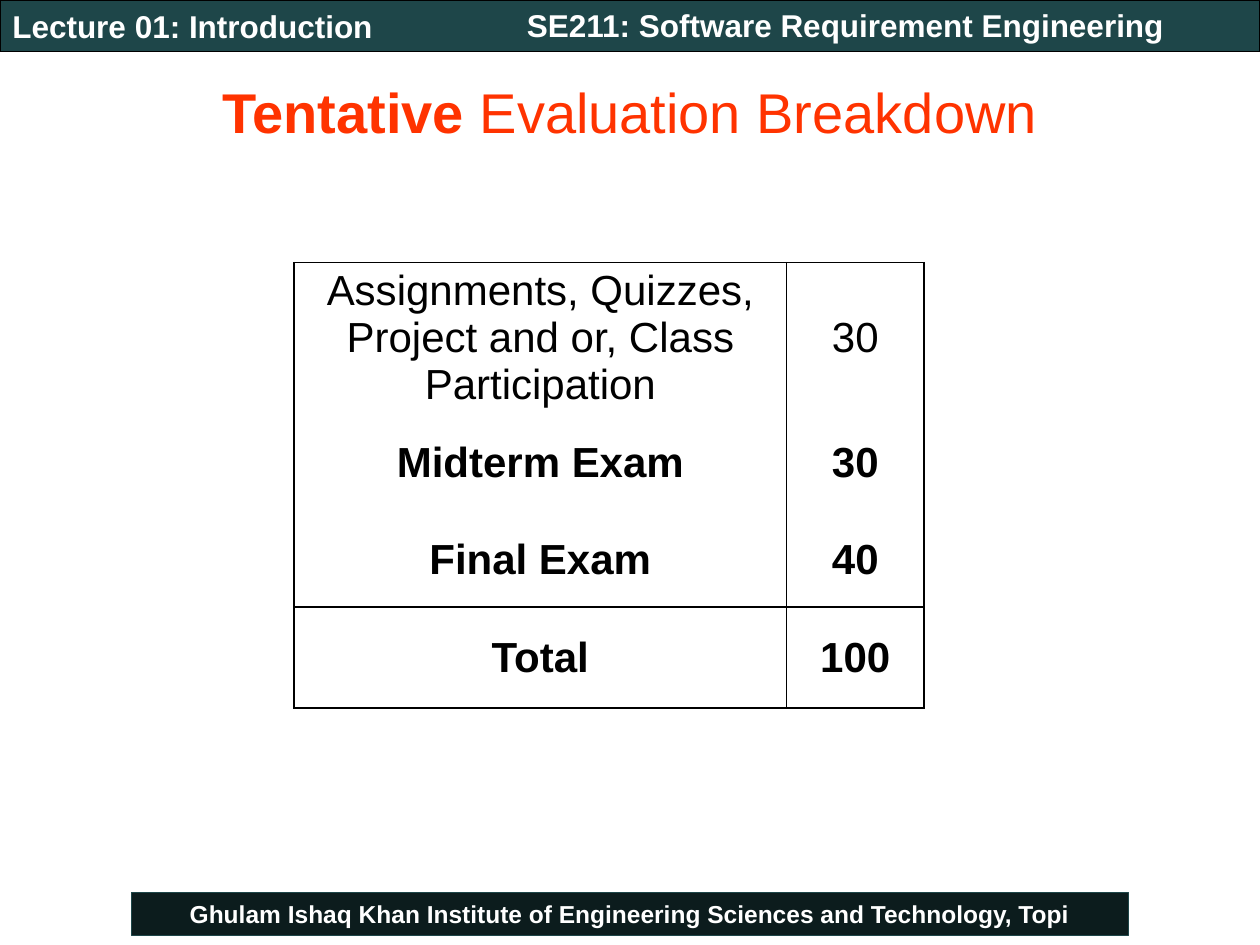
from lxml import etree
from pptx import Presentation
from pptx.dml.color import RGBColor
from pptx.enum import shapes, text
from pptx.oxml import ns
from pptx.util import Pt

DARK = RGBColor(0x0C, 0x1C, 0x1D)
TEAL = RGBColor(0x1E, 0x46, 0x49)
ORANGE = RGBColor(0xFF, 0x33, 0x00)
BLACK = RGBColor(0, 0, 0)
WHITE = RGBColor(0xFF, 0xFF, 0xFF)
PLAIN_TABLE_STYLE = "{2D5ABB26-0587-4C30-8999-92F81FD0307C}"


def write(frame, words, size, color, bold, alignment):
    frame.word_wrap = True
    frame.vertical_anchor = text.MSO_ANCHOR.MIDDLE
    paragraph = frame.paragraphs[0]
    paragraph.text = words
    paragraph.alignment = alignment
    paragraph.font.name = "Arial"
    paragraph.font.size = Pt(size)
    paragraph.font.bold = bold
    paragraph.font.color.rgb = color


def add_border(cell, side):
    properties = cell._tc.get_or_add_tcPr()
    line = etree.SubElement(properties, ns.qn("a:ln" + side), w=str(Pt(1)))
    fill = etree.SubElement(line, ns.qn("a:solidFill"))
    etree.SubElement(fill, ns.qn("a:srgbClr"), val=str(BLACK))


presentation = Presentation()
presentation.slide_width = Pt(720)
presentation.slide_height = Pt(540)
slide = presentation.slides.add_slide(presentation.slide_layouts[5])

bars = [
    ("Ghulam Ishaq Khan Institute of Engineering Sciences and Technology, Topi",
     (75, 510, 570, 24.5), 14, DARK, TEAL, text.PP_ALIGN.CENTER),
    ("Lecture 01: Introduction", (0, 0, 720, 29.5), 18, TEAL, BLACK, text.PP_ALIGN.LEFT),
]
for words, place, size, fill_color, line_color, alignment in bars:
    bar = slide.shapes.add_shape(shapes.MSO_SHAPE.RECTANGLE, *map(Pt, place))
    bar.shadow.inherit = False
    bar.fill.solid()
    bar.fill.fore_color.rgb = fill_color
    bar.line.color.rgb = line_color
    bar.line.width = Pt(0.75)
    write(bar.text_frame, words, size, WHITE, True, alignment)

course = slide.shapes.add_textbox(Pt(258), Pt(0), Pt(462), Pt(29))
write(course.text_frame, "\tSE211: Software Requirement Engineering", 18, WHITE, True,
      text.PP_ALIGN.LEFT)

title = slide.shapes.title
title.left, title.top, title.width, title.height = Pt(0), Pt(30), Pt(720), Pt(66.5)
write(title.text_frame, "Tentative", 32, ORANGE, False, text.PP_ALIGN.CENTER)
title_paragraph = title.text_frame.paragraphs[0]
title_paragraph.runs[0].font.bold = True
title_paragraph.add_run().text = " Evaluation Breakdown"

rows = [
    ("Assignments, Quizzes, Project and or, Class Participation", "30", 86.5, False, "LRT"),
    ("Midterm Exam", "30", 56.5, True, "LR"),
    ("Final Exam", "40", 54, True, "LRB"),
    ("Total", "100", 57.5, True, "LRTB"),
]
frame = slide.shapes.add_table(len(rows), 2, Pt(168), Pt(150), Pt(360), Pt(254.5))
table = frame.table
table.first_row = False
table.horz_banding = False
table._tbl.tblPr.find(ns.qn("a:tableStyleId")).text = PLAIN_TABLE_STYLE
table.columns[0].width = Pt(281.5)
table.columns[1].width = Pt(78.5)

for row, (item, marks, height, bold, sides) in enumerate(rows):
    table.rows[row].height = Pt(height)
    for column, words in enumerate((item, marks)):
        cell = table.cell(row, column)
        cell.margin_left = cell.margin_right = cell.margin_top = cell.margin_bottom = 0
        cell.vertical_anchor = text.MSO_ANCHOR.MIDDLE
        for side in sides:
            add_border(cell, side)
        cell.fill.solid()
        cell.fill.fore_color.rgb = WHITE
        write(cell.text_frame, words, 24, BLACK, bold, text.PP_ALIGN.CENTER)

presentation.save("out.pptx")
